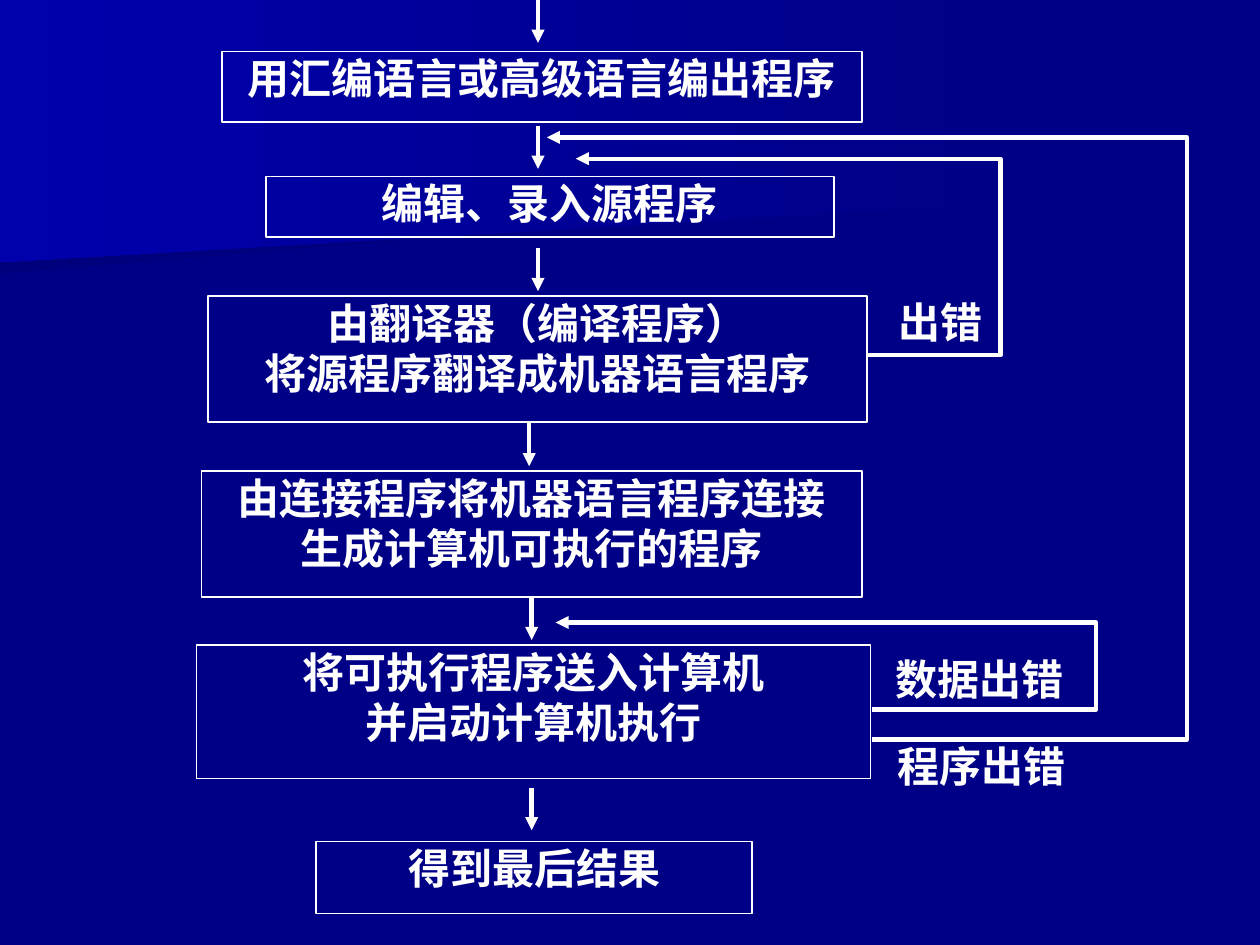
from pptx import Presentation
from pptx.dml.color import RGBColor
from pptx.enum import shapes, text
from pptx.oxml.ns import qn
from pptx.util import Inches, Pt
from lxml import etree

WHITE = RGBColor(0xFF, 0xFF, 0xFF)
NAVY = RGBColor(0x00, 0x00, 0x86)
DARK = RGBColor(0x00, 0x00, 0x7D)
BLUE = RGBColor(0x00, 0x00, 0xAC)

prs = Presentation()
prs.slide_width, prs.slide_height = Inches(10), Inches(7.5)
slide = prs.slides.add_slide(prs.slide_layouts[6])
slide.background.fill.solid()
slide.background.fill.fore_color.rgb = NAVY
tree = slide.shapes


def write(shape, lines, align, pad=(0.01, 0.01)):
    frame = shape.text_frame
    frame.word_wrap = True
    frame.vertical_anchor = text.MSO_ANCHOR.TOP
    frame.margin_left = frame.margin_right = Inches(pad[0])
    frame.margin_top = frame.margin_bottom = Inches(pad[1])
    frame.text = lines
    for para in frame.paragraphs:
        para.alignment = align
        for run in para.runs:
            run.font.name = "Times New Roman"
            run.font.size = Pt(24)
            run.font.bold = True
            run.font.color.rgb = WHITE


def arrow(line):
    line.color.rgb = WHITE
    line.width = Pt(2.5)
    etree.SubElement(line._get_or_add_ln(), qn("a:tailEnd"), type="triangle")


# Background sweeps
sweeps = [
    ([(7.78, 1.53), (0, 2.17), (0, 1.01), (7.79, 1.01), (7.78, 1.28)], DARK),
    ([(7.92, 1.62), (0, 2.08), (0, 0), (7.92, 0)], BLUE),
]
for pts, shade in sweeps:
    pts = [(Inches(x), Inches(y)) for x, y in pts]
    path = tree.build_freeform(*pts[0])
    path.add_line_segments(pts[1:], close=True)
    sweep = path.convert_to_shape()
    sweep.shadow.inherit = False
    sweep.line.fill.background()
    sweep.fill.gradient()
    sweep.fill.gradient_angle = 180
    for stop, tone, pos in zip(sweep.fill.gradient_stops, (NAVY, shade), (0, 1)):
        stop.color.rgb = tone
        stop.position = pos

# Steps of the flow, top to bottom
steps = [
    (1.76, 0.41, 5.08, 0.56, "用汇编语言或高级语言编出程序"),
    (2.11, 1.4, 4.51, 0.48, "编辑、录入源程序"),
    (1.65, 2.35, 5.23, 1, "由翻译器（编译程序）\n将源程序翻译成机器语言程序"),
    (1.6, 3.74, 5.24, 1, "由连接程序将机器语言程序连接\n生成计算机可执行的程序"),
    (1.56, 5.12, 5.35, 1.06, "将可执行程序送入计算机\n并启动计算机执行"),
    (2.51, 6.68, 3.46, 0.57, "得到最后结果"),
]
boxes = []
for *area, words in steps:
    box = tree.add_shape(shapes.MSO_SHAPE.RECTANGLE, *map(Inches, area))
    box.shadow.inherit = False
    box.fill.background()
    box.line.color.rgb = WHITE
    box.line.width = Pt(1)
    write(box, words, text.PP_ALIGN.CENTER)
    boxes.append(box)

# Down arrows: x, top, and the box each one leaves from, if joined
downs = [
    (4.27, 0, None), (4.27, 1, None), (4.27, 1.97, None),
    (4.2, 3.36, None), (4.22, 4.74, boxes[3]), (4.22, 6.25, None),
]
for x, top, start in downs:
    down = tree.add_connector(
        shapes.MSO_CONNECTOR.STRAIGHT,
        Inches(x), Inches(top), Inches(x), Inches(top + 0.34))
    if start is not None:
        down.begin_connect(start, 2)
    etree.SubElement(down._element.spPr, qn("a:effectLst"))
    arrow(down.line)

# Error loops: out to the right, up, and back left
loops = [
    (6.88, 2.82, 7.94, 1.26, 4.57),
    (6.92, 5.63, 8.7, 4.94, 4.41),
    (6.92, 5.87, 9.42, 1.09, 4.34),
]
for left, low, right, high, tip in loops:
    path = tree.build_freeform(Inches(left), Inches(low))
    turns = [(right, low), (right, high), (tip, high)]
    path.add_line_segments([(Inches(x), Inches(y)) for x, y in turns], close=False)
    loop = path.convert_to_shape()
    loop.shadow.inherit = False
    loop.fill.background()
    arrow(loop.line)

# Loop labels
labels = [
    (7.03, 2.3, 1.02, 0.51, "出错", (0.1, 0.05)),
    (7.1, 5.18, 1.7, 0.97, "数据出错", (0.01, 0.01)),
    (7.11, 5.87, 1.59, 0.51, "程序出错", (0.01, 0.01)),
]
for *area, words, pad in labels:
    label = tree.add_textbox(*map(Inches, area))
    write(label, words, text.PP_ALIGN.JUSTIFY, pad)

prs.save("out.pptx")
